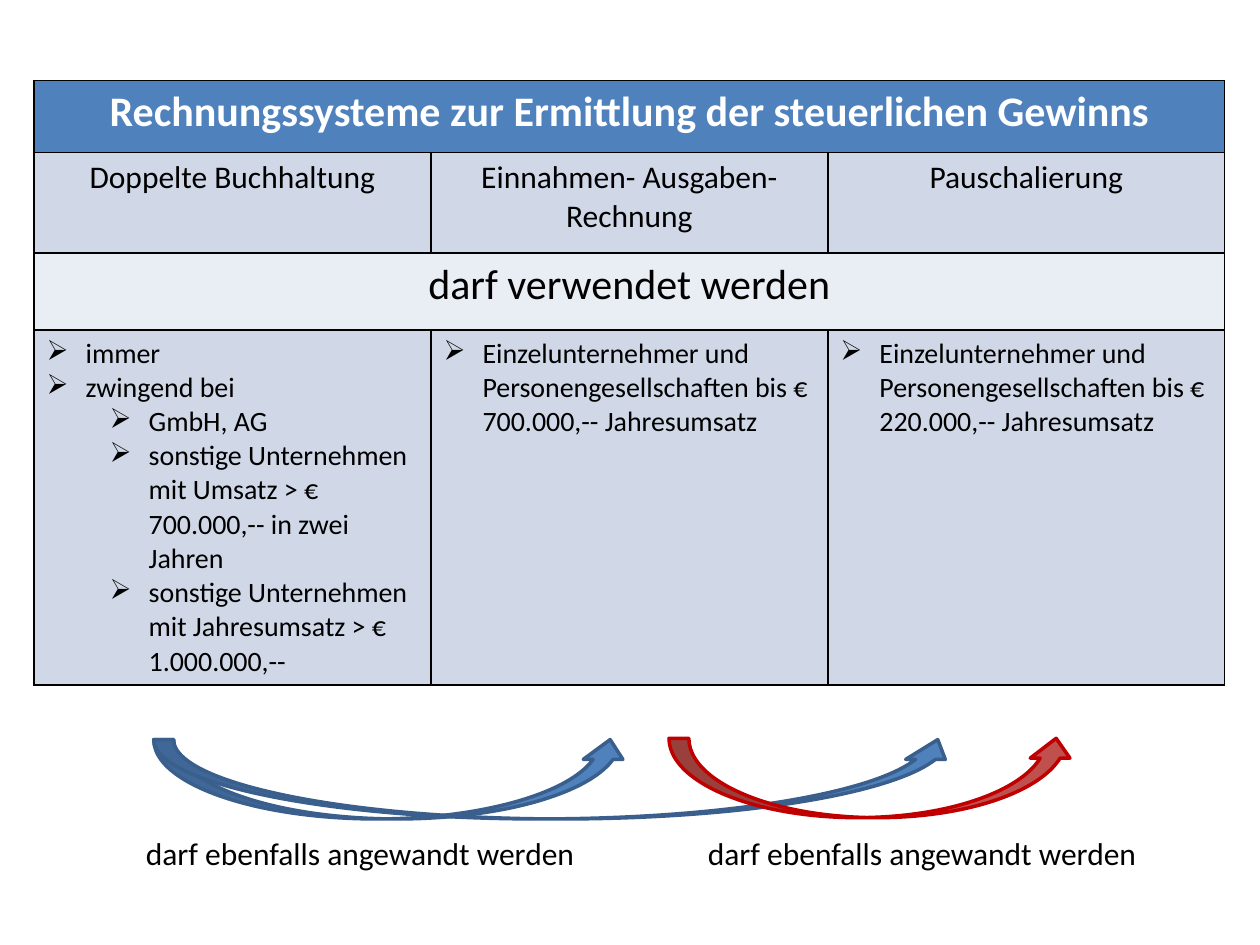
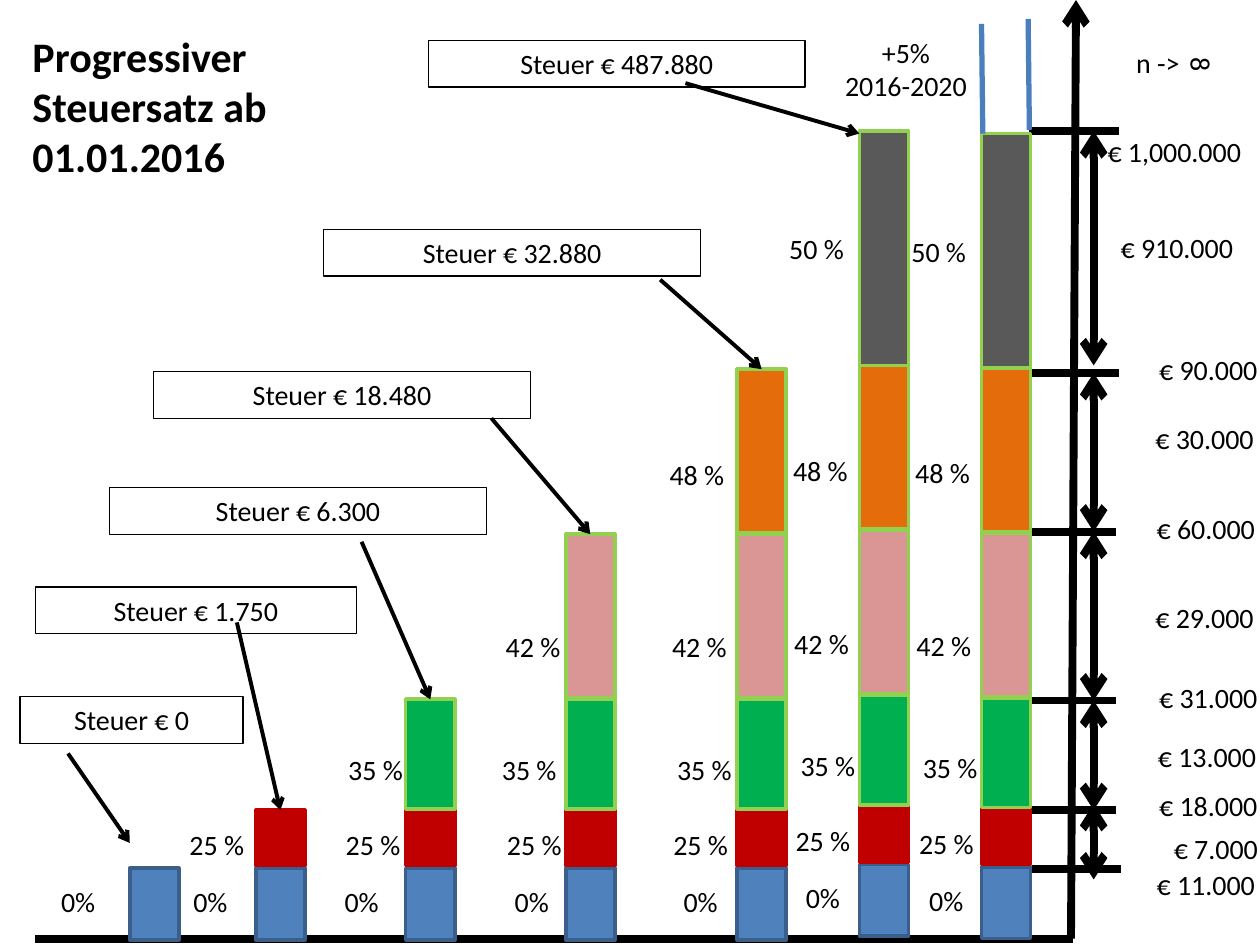
from itertools import product

from lxml import etree
from pptx import Presentation
from pptx.dml.color import RGBColor
from pptx.enum import shapes, text
from pptx.oxml.ns import qn
from pptx.util import Inches, Pt

FONT = "Calibri"
BLACK, WHITE = "000000", "FFFFFF"
BLUE, DARK_BLUE, RED, LIGHT_GREEN = "4F81BD", "3A5F8C", "C00000", "92D050"
PALE, PALER = "D0D8E8", "E9EDF4"

# Slide 1: accounting systems. Bullets are (level, text).
TABLE_AT, COLUMN_WIDTH = (0.27, 0.64), 3.15
TABLE_ROWS = [  # height, fill, size, colour, bold, cells
    (0.57, BLUE, 24, WHITE, True, ["Rechnungssysteme zur Ermittlung der steuerlichen Gewinns"]),
    (0.8, PALE, 18, BLACK, False,
     ["Doppelte Buchhaltung", "Einnahmen- Ausgaben-Rechnung", "Pauschalierung"]),
    (0.61, PALER, 24, BLACK, False, ["darf verwendet werden"]),
    (2.55, PALE, 16, BLACK, False, [
        [(0, "immer"), (0, "zwingend bei"), (1, "GmbH, AG"),
         (1, "sonstige Unternehmen mit Umsatz > € 700.000,-- in zwei Jahren"),
         (1, "sonstige Unternehmen mit Jahresumsatz > € 1.000.000,--")],
        [(0, "Einzelunternehmer und Personengesellschaften bis € 700.000,-- Jahresumsatz")],
        [(0, "Einzelunternehmer und Personengesellschaften bis € 220.000,-- Jahresumsatz")],
    ]),
]
SWITCH_ARROWS = [  # left, top, width, fill, line
    (1.22, 5.87, 3.78, BLUE, DARK_BLUE),
    (1.22, 5.87, 6.38, BLUE, DARK_BLUE),
    (5.31, 5.86, 3.23, "C0504D", RED),
]
SWITCH_NOTE, SWITCH_NOTE_LEFTS = "darf ebenfalls angewandt werden", (1.06, 5.52)

# Slide 2: tax brackets, stacked from the bottom up.
TITLE = ["Progressiver", "Steuersatz ab 01.01.2016"]
BAR_WIDTH, LABEL_HEIGHT = 0.39, 0.37
BRACKETS = [  # rate, fill, line, top, height, label top
    ("0%", BLUE, DARK_BLUE, 6.89, 0.57, 6.97),
    ("25 %", RED, RED, 6.43, 0.44, 6.52),
    ("35 %", "00B050", LIGHT_GREEN, 5.55, 0.87, 5.92),
    ("42 %", "D99694", LIGHT_GREEN, 4.24, 1.3, 4.95),
    ("48 %", "E46C0A", LIGHT_GREEN, 2.93, 1.3, 3.58),
    ("50 %", "595959", LIGHT_GREEN, 1.07, 1.86, 1.82),
]
STACKS = [  # left, vertical shift, label centres (one per bracket)
    (1.03, 0, [0.62]),
    (2.03, 0, [1.67, 1.72]),
    (3.22, 0, [2.87, 2.96, 2.98]),
    (4.49, 0, [4.22, 4.24, 4.2, 4.23]),
    (5.85, 0, [5.56, 5.56, 5.59, 5.55, 5.53]),
    (6.82, -0.03, [6.53, 6.53, 6.57, 6.52, 6.51, 6.48]),
    (7.79, -0.01, [7.51, 7.51, 7.54, 7.49, 7.48, 7.45]),
]
CALLOUTS = [  # amount, left, top, width, arrow start, arrow end (None: top of the stack)
    ("0", 0.16, 5.53, 1.77, (0.54, 5.98), (1.03, 6.69)),
    ("1.750", 0.28, 4.66, 2.55, (1.88, 4.94), None),
    ("6.300", 0.87, 3.87, 2.99, (2.87, 4.3), None),
    ("18.480", 1.22, 2.95, 2.99, (3.9, 3.32), None),
    ("32.880", 2.57, 1.82, 2.99, (5.24, 2.22), None),
    ("487.880", 3.4, 0.32, 2.99, (5.44, 0.66), (6.82, 1.06)),
]
TICK_LENGTH = 0.71
TICKS = [(8.19, 6.9), (8.15, 6.43), (8.15, 5.56), (8.15, 4.22), (8.17, 2.96), (8.17, 1.04)]
SPAN_X = 8.68
SPANS = [(6.38, 6.98), (5.56, 6.43), (4.22, 5.56), (2.96, 4.22), (1.04, 2.9)]
AMOUNT_WIDTH = 1.54
AMOUNTS = [  # text, centre, top
    ("€ 11.000", 9.57, 6.84), ("€ 7.000", 9.65, 6.55), ("€ 18.000", 9.59, 6.21),
    ("€ 13.000", 9.58, 5.82), ("€ 31.000", 9.59, 5.35), ("€ 29.000", 9.56, 4.72),
    ("€ 60.000", 9.57, 4.01), ("€ 30.000", 9.56, 3.3), ("€ 90.000", 9.59, 2.75),
    ("€ 910.000", 9.34, 1.78), ("€ 1,000.000", 9.32, 1.02), ("n ->", 9.19, 0.31),
]
OPEN_END = [((7.8, 1.06), (7.79, 0.19)), ((8.17, 1.03), (8.16, 0.15))]


def color(value):
    return RGBColor.from_string(value)


def inches(*lengths):
    return [Inches(length) for length in lengths]


def style(paragraph, size, font_color=BLACK, bold=False, centered=True):
    paragraph.alignment = text.PP_ALIGN.CENTER if centered else text.PP_ALIGN.LEFT
    font = paragraph.font
    font.name, font.size, font.bold = FONT, Pt(size), bold
    font.color.rgb = color(font_color)


def write(shape, lines, size=16, bold=False, centered=True):
    frame = shape.text_frame
    frame.word_wrap = True
    frame.auto_size = text.MSO_AUTO_SIZE.SHAPE_TO_FIT_TEXT
    frame.vertical_anchor = text.MSO_ANCHOR.TOP
    frame.text = "\n".join(lines)
    for paragraph in frame.paragraphs:
        style(paragraph, size, bold=bold, centered=centered)


def add_text(slide, at, *lines, **options):
    box = slide.shapes.add_textbox(*inches(*at))
    write(box, lines, **options)
    return box


def add_shape(slide, kind, at, fill, line, width=2):
    shape = slide.shapes.add_shape(kind, *inches(*at))
    shape.shadow.inherit = False
    if fill:
        shape.fill.solid()
        shape.fill.fore_color.rgb = color(fill)
    else:
        shape.fill.background()
    shape.line.color.rgb = color(line)
    shape.line.width = Pt(width)
    return shape


def add_line(slide, start, end, width=4.5, line_color=BLACK, arrows=()):
    """Draw a line; arrows names the ends that carry a head: "headEnd", "tailEnd"."""
    connector = slide.shapes.add_connector(
        shapes.MSO_CONNECTOR.STRAIGHT, *inches(*start, *end))
    connector.line.color.rgb = color(line_color)
    connector.line.width = Pt(width)
    properties = connector._element.spPr
    for arrow in arrows:
        etree.SubElement(properties.find(qn("a:ln")), qn(f"a:{arrow}"), type="arrow")
    etree.SubElement(properties, qn("a:effectLst"))
    return connector


def add_borders(cell):
    properties = cell._tc.get_or_add_tcPr()
    for side in "LRTB":
        line = etree.SubElement(properties, qn(f"a:ln{side}"), w=str(Pt(1)))
        fill = etree.SubElement(line, qn("a:solidFill"))
        etree.SubElement(fill, qn("a:srgbClr"), val=BLACK)


def add_bullet(paragraph, level):
    paragraph.level = level
    properties = paragraph._p.get_or_add_pPr()
    properties.set("marL", str(Inches(0.31 + 0.5 * level)))
    properties.set("indent", str(Inches(-0.31)))
    etree.SubElement(properties, qn("a:buChar"), char="➢")


def fill_cell(cell, content, size, font_color, bold):
    bulleted = isinstance(content, list)
    items = content if bulleted else [(0, content)]
    cell.text = "\n".join(line for _, line in items)
    for paragraph, (level, _) in zip(cell.text_frame.paragraphs, items):
        if bulleted:
            add_bullet(paragraph, level)
        style(paragraph, size, font_color, bold, centered=not bulleted)


def add_system_table(slide):
    columns = 3
    heights = [row[0] for row in TABLE_ROWS]
    table = slide.shapes.add_table(
        len(TABLE_ROWS), columns,
        *inches(*TABLE_AT, columns * COLUMN_WIDTH, sum(heights))).table
    table.first_row = table.horz_banding = False
    for row, column in product(range(len(TABLE_ROWS)), range(columns)):
        cell = table.cell(row, column)
        add_borders(cell)
        cell.fill.solid()
        cell.fill.fore_color.rgb = color(TABLE_ROWS[row][1])
    for row, (height, _, size, font_color, bold, contents) in enumerate(TABLE_ROWS):
        table.rows[row].height = Inches(height)
        if len(contents) == 1:
            table.cell(row, 0).merge(table.cell(row, columns - 1))
        for column, content in enumerate(contents):
            fill_cell(table.cell(row, column), content, size, font_color, bold)


def build_systems(slide):
    add_system_table(slide)
    for left, top, width, fill, line in SWITCH_ARROWS:
        add_shape(slide, shapes.MSO_SHAPE.CURVED_UP_ARROW, (left, top, width, 0.63), fill, line)
    for left in SWITCH_NOTE_LEFTS:
        add_text(slide, (left, 6.57, 3.73, 0.4), SWITCH_NOTE, size=18, centered=False)


def add_axes(slide):
    add_line(slide, (8.5, 7.45), (8.54, 0), arrows=["tailEnd"])
    add_line(slide, (0.28, 7.45), (8.52, 7.45))
    for left, y in TICKS:
        add_line(slide, (left, y), (left + TICK_LENGTH, y))
    for top, bottom in SPANS:
        add_line(slide, (SPAN_X, top), (SPAN_X, bottom), arrows=["headEnd", "tailEnd"])
    for amount, center, top in AMOUNTS:
        add_text(slide, (center - AMOUNT_WIDTH / 2, top, AMOUNT_WIDTH, LABEL_HEIGHT), amount)


def add_stack(slide, left, shift, label_centers):
    """Draw one stack with its rates and return its top bar."""
    label_width = 1.28
    for bracket, center in zip(BRACKETS, label_centers):
        rate, fill, line, top, height, label_top = bracket
        bar = add_shape(slide, shapes.MSO_SHAPE.RECTANGLE,
                        (left, top + shift, BAR_WIDTH, height), fill, line)
        add_text(slide, (center - label_width / 2, label_top + shift, label_width, LABEL_HEIGHT),
                 rate)
    return bar


def build_brackets(slide):
    add_text(slide, (0.16, 0.19, 2.54, 1.31), *TITLE, size=24, bold=True, centered=False)
    add_axes(slide)
    top_bars = [add_stack(slide, *stack) for stack in STACKS]
    for (amount, left, top, width, start, end), bar in zip(CALLOUTS, top_bars):
        box = add_shape(slide, shapes.MSO_SHAPE.RECTANGLE, (left, top, width, LABEL_HEIGHT),
                        None, BLACK, 0.75)
        write(box, [f"Steuer € {amount}"])
        arrow = add_line(slide, start, end or start, width=2.25, arrows=["tailEnd"])
        if end is None:
            arrow.end_connect(bar, 0)
    for start, end in OPEN_END:
        add_line(slide, start, end, width=3, line_color="4B7EBC")
    add_text(slide, (6.55, 0.23, 1.28, 0.64), "+5%", "2016-2020")
    infinity = add_text(slide, (9.29, 0.33, 0.49, LABEL_HEIGHT), "8")
    infinity.rotation = 90


def main():
    presentation = Presentation()
    presentation.slide_width, presentation.slide_height = inches(10, 7.5)
    for build in (build_systems, build_brackets):
        build(presentation.slides.add_slide(presentation.slide_layouts[6]))
    presentation.save("out.pptx")


if __name__ == "__main__":
    main()
